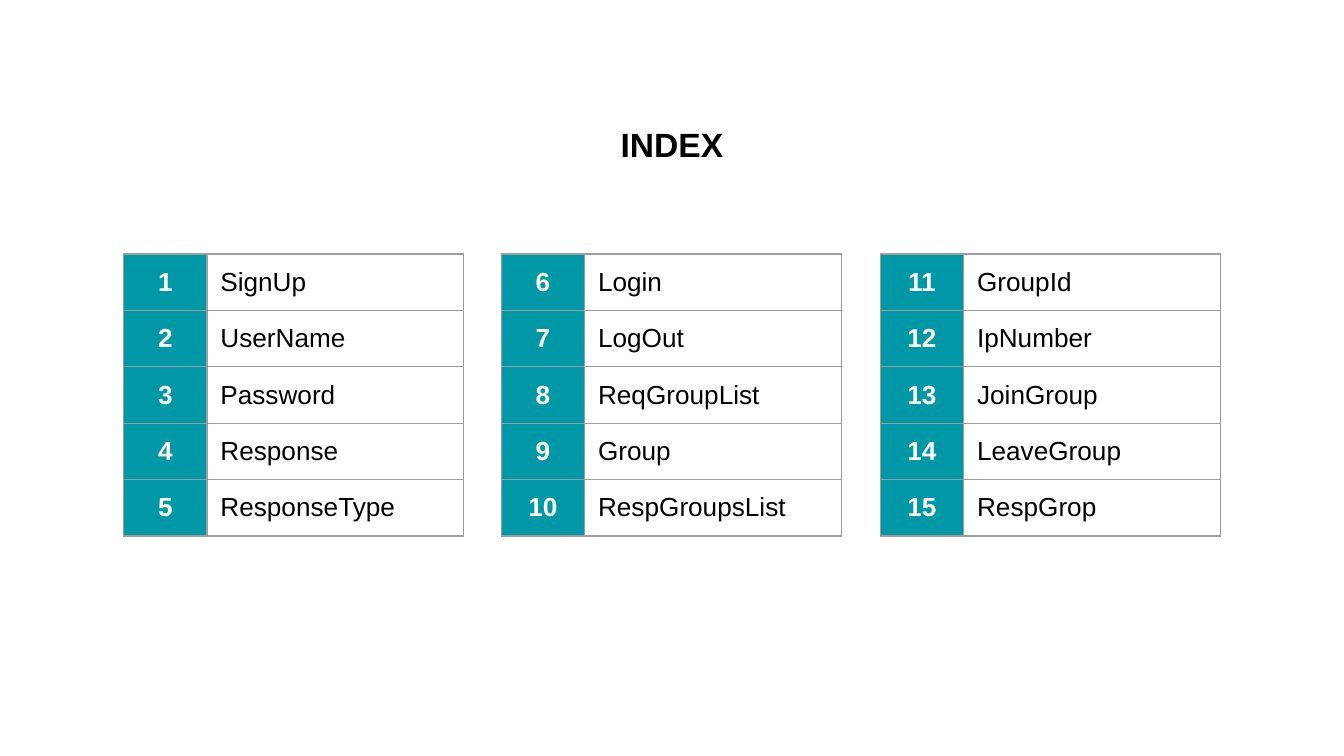
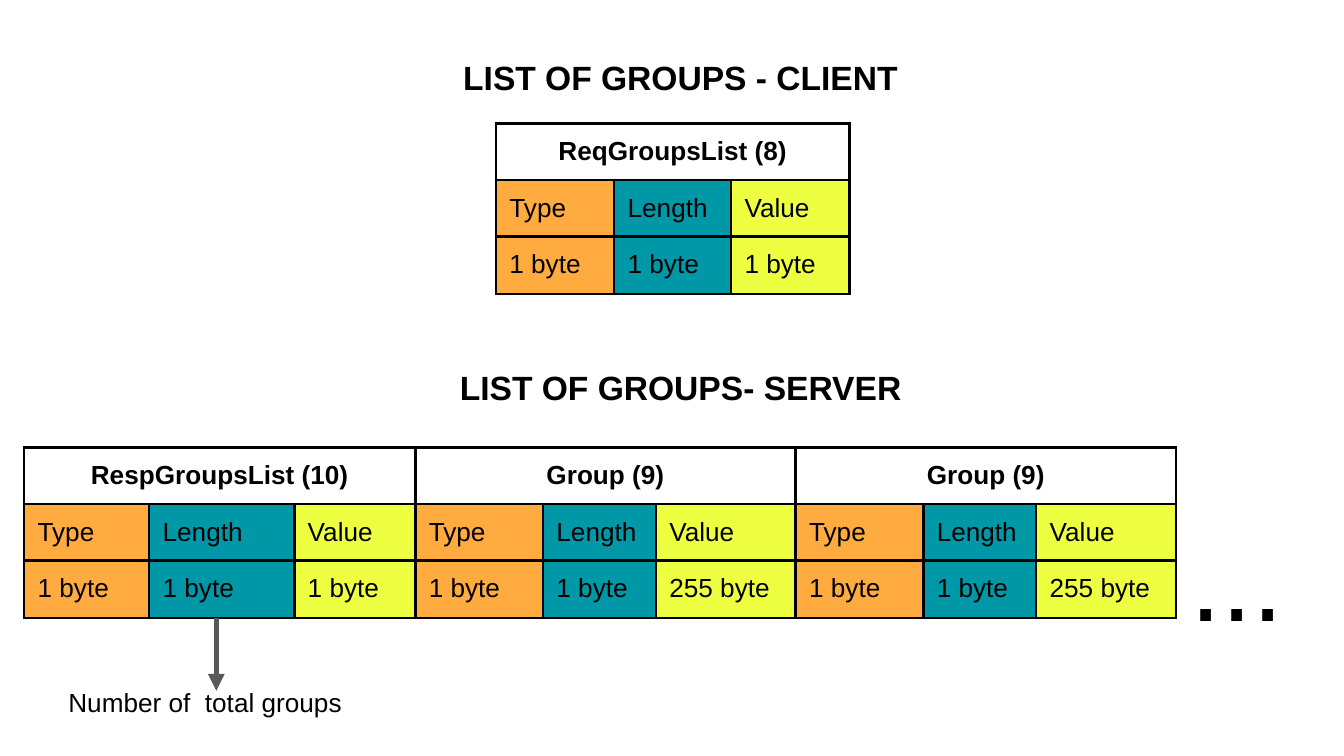
from dataclasses import dataclass

from lxml.etree import SubElement
from pptx import Presentation
from pptx.dml.color import RGBColor
from pptx.enum.shapes import MSO_CONNECTOR as Connector
from pptx.enum.text import PP_ALIGN as Align
from pptx.oxml.ns import qn
from pptx.util import Inches, Pt


@dataclass(frozen=True)
class Theme:
    font: str = "Arial"
    black: str = "000000"
    white: str = "FFFFFF"
    teal: str = "0097A7"
    orange: str = "FFAB40"
    yellow: str = "EEFF41"
    grid: str = "9E9E9E"
    arrow: str = "595959"
    title_size: int = 18
    body_size: int = 14
    dots_size: int = 60
    inset: float = 0.1
    cell_bottom: float = 0.08  # leaves room for the cell border
    row: float = 0.42


THEME = Theme()

# Content: index of message types
INDEX_TITLE = ("INDEX", 2.97, 0.82, 4.06)
MESSAGES = [
    "SignUp", "UserName", "Password", "Response", "ResponseType",
    "Login", "LogOut", "ReqGroupList", "Group", "RespGroupsList",
    "GroupId", "IpNumber", "JoinGroup", "LeaveGroup", "RespGrop",
]
PER_COLUMN = 5
INDEX_LEFTS, INDEX_TOP = (0.92, 3.73, 6.55), 1.89
INDEX_WIDTHS = (0.62, 1.91)

# Content: packets as (name, size of value, column widths)
FIELDS = [("Type", THEME.orange), ("Length", THEME.teal), ("Value", THEME.yellow)]
CLIENT_TITLE = ("LIST OF GROUPS - CLIENT", 2.38, 0.32, 5.37)
CLIENT_PACKETS = [("ReqGroupsList (8)", "1 byte", (0.88, 0.87, 0.88))]
CLIENT_AT = (3.69, 0.92)
SERVER_TITLE = ("LIST OF GROUPS- SERVER", 2.49, 2.63, 5.15)
GROUP = ("Group (9)", "255 byte", (0.95, 0.84, 1.04))
SERVER_PACKETS = [("RespGroupsList (10)", "1 byte", (0.93, 1.08, 0.9)), GROUP, GROUP]
SERVER_AT = (0.18, 3.33)
COUNT_NOTE = "Number of  total groups"
COUNT_X = 1.61
MORE = "..."


def write(frame, text, size, color=THEME.black, bold=False, align=Align.LEFT):
    frame.text = text
    paragraph = frame.paragraphs[0]
    paragraph.alignment = align
    font = paragraph.runs[0].font
    font.name, font.size, font.bold = THEME.font, Pt(size), bold
    font.color.rgb = RGBColor.from_string(color)


def set_insets(holder, bottom=THEME.inset):
    holder.margin_left = holder.margin_right = Inches(THEME.inset)
    holder.margin_top, holder.margin_bottom = Inches(THEME.inset), Inches(bottom)


def add_text(slide, text, left, top, width, height, size, **style):
    box = slide.shapes.add_textbox(*map(Inches, (left, top, width, height)))
    frame = box.text_frame
    frame.word_wrap = True
    set_insets(frame)
    write(frame, text, size, **style)


def add_title(slide, text, left, top, width):
    add_text(slide, text, left, top, width, 0.6, THEME.title_size,
             bold=True, align=Align.CENTER)


def add_borders(cell, color, weight):
    properties = cell._tc.get_or_add_tcPr()
    for side in ("a:lnL", "a:lnR", "a:lnT", "a:lnB"):
        edge = SubElement(properties, qn(side), w=str(Pt(weight)))
        fill = SubElement(edge, qn("a:solidFill"))
        SubElement(fill, qn("a:srgbClr"), val=color)


def add_grid(slide, left, top, widths, heights, border):
    frame = slide.shapes.add_table(
        len(heights), len(widths),
        *map(Inches, (left, top, sum(widths), sum(heights))))
    table = frame.table
    table.first_row = table.horz_banding = False
    for column, width in zip(table.columns, widths):
        column.width = Inches(width)
    for row, height in zip(table.rows, heights):
        row.height = Inches(height)
    for cell in table.iter_cells():
        set_insets(cell, THEME.cell_bottom)
        add_borders(cell, *border)
    return table


def fill_cell(cell, text, fill=THEME.white, **style):
    cell.fill.solid()
    cell.fill.fore_color.rgb = RGBColor.from_string(fill)
    write(cell.text_frame, text, THEME.body_size, **style)


def add_packets(slide, packets, left, top):
    """Lay packets side by side, each a name over its three fields."""
    for name, value_size, widths in packets:
        table = add_grid(slide, left, top, widths,
                         (THEME.row, THEME.row, 0.43), (THEME.black, 1.5))
        table.cell(0, 0).merge(table.cell(0, 2))
        fill_cell(table.cell(0, 0), name, bold=True, align=Align.CENTER)
        sizes = ("1 byte", "1 byte", value_size)
        for column, ((field, color), size) in enumerate(zip(FIELDS, sizes)):
            fill_cell(table.cell(1, column), field, color)
            fill_cell(table.cell(2, column), size, color)
        left += sum(widths)


def add_arrow(slide, x, top, bottom):
    arrow = slide.shapes.add_connector(
        Connector.STRAIGHT, *map(Inches, (x, top, x, bottom)))
    arrow.line.color.rgb = RGBColor.from_string(THEME.arrow)
    arrow.line.width = Pt(3)
    SubElement(arrow.line._get_or_add_ln(), qn("a:tailEnd"), type="triangle")
    SubElement(arrow._element.spPr, qn("a:effectLst"))


def build_index(slide):
    for block, left in enumerate(INDEX_LEFTS):
        start = block * PER_COLUMN
        table = add_grid(slide, left, INDEX_TOP, INDEX_WIDTHS,
                         [THEME.row] * PER_COLUMN, (THEME.grid, 0.75))
        for row, message in enumerate(MESSAGES[start:start + PER_COLUMN]):
            fill_cell(table.cell(row, 0), str(start + row + 1), THEME.teal,
                      color=THEME.white, bold=True, align=Align.CENTER)
            fill_cell(table.cell(row, 1), message)
    add_title(slide, *INDEX_TITLE)


def build_group_list(slide):
    # Client request
    add_title(slide, *CLIENT_TITLE)
    add_packets(slide, CLIENT_PACKETS, *CLIENT_AT)
    # Server response
    add_title(slide, *SERVER_TITLE)
    add_packets(slide, SERVER_PACKETS, *SERVER_AT)
    # Callout and continuation dots
    add_arrow(slide, COUNT_X, 4.6, 5.14)
    add_text(slide, COUNT_NOTE, 0.41, 5.01, 2.71, 0.4, THEME.body_size)
    add_text(slide, MORE, 8.76, 3.69, 0.9, 0.94, THEME.dots_size)


def main():
    deck = Presentation()
    deck.slide_width = Inches(10)
    deck.slide_height = deck.slide_width * 9 // 16
    for build in (build_index, build_group_list):
        build(deck.slides.add_slide(deck.slide_layouts[6]))
    deck.save("out.pptx")


if __name__ == "__main__":
    main()
